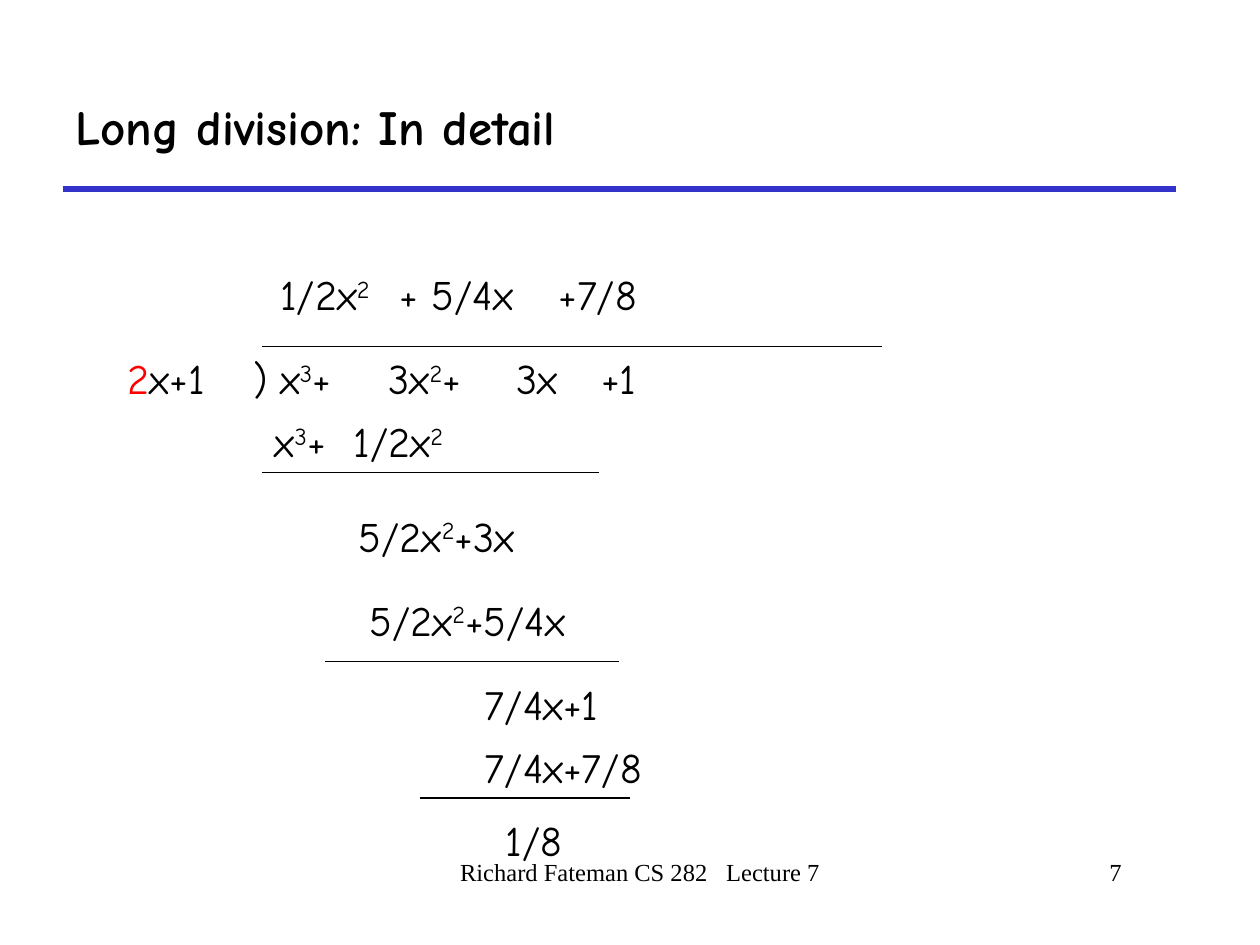
from dataclasses import dataclass

import pptx
import pptx.dml.color
import pptx.enum.shapes
import pptx.enum.text
import pptx.oxml.ns
import pptx.util
from lxml import etree

Pt = pptx.util.Pt
RGB = pptx.dml.color.RGBColor
ALIGN = pptx.enum.text.PP_ALIGN
ANCHOR = pptx.enum.text.MSO_ANCHOR
AUTO_SIZE = pptx.enum.text.MSO_AUTO_SIZE
qn = pptx.oxml.ns.qn


@dataclass(frozen=True)
class Theme:
    ink: RGB = RGB(0x00, 0x00, 0x00)
    rule: RGB = RGB(0x33, 0x33, 0xCC)
    accent: RGB = RGB(0xFF, 0x00, 0x00)
    body_font: str = "Comic Neue"
    footer_font: str = "Times New Roman"
    title_size: float = 28
    body_size: float = 24
    footer_size: float = 14


@dataclass(frozen=True)
class Term:
    """One row of the division; ^ raises the digit after it, tabs are in points."""
    text: str
    left: float
    top: float
    width: float
    indent: float = 0
    tabs: tuple[float, ...] = ()
    lead: str = ""


@dataclass(frozen=True)
class Rule:
    left: float
    right: float
    y: float
    weight: float = 0.75
    color: RGB = Theme.ink


THEME = Theme()
ROW_HEIGHT = 36
FOOTER_TOP = 486
FOOTER_INDENT = 17.28

TERMS = (
    Term("1/2x^2", 138, 150, 168, indent=15),
    Term("+ 5/4x", 204, 150, 138, indent=17),
    Term("+7/8", 312, 150, 96),
    Term("x+1", 66, 198, 70.5, lead="2"),
    Term(")\tx^3+\t3x^2+\t3x\t+1", 138, 198, 354, tabs=(15, 77, 150, 198.5)),
    Term("x^3+\t1/2x^2", 150, 234, 150, tabs=(45,)),
    Term("5/2x^2+3x", 198, 288, 126),
    Term("5/2x^2+5/4x", 204, 336, 156),
    Term("7/4x+1", 270, 384, 150),
    Term("7/4x+7/8", 270, 420, 138),
    Term("1/8", 282, 462, 84),
)

RULES = (
    Rule(36, 672, 108, 3, THEME.rule),
    Rule(150, 504, 198),
    Rule(150, 342, 270),
    Rule(186, 354, 378),
    Rule(240, 360, 456),
)


def add_box(s, left: float, top: float, width: float, height: float = ROW_HEIGHT,
            indent: float = 0):
    """Add a wrapping text box and return its text frame."""
    tf = s.shapes.add_textbox(Pt(left), Pt(top), Pt(width), Pt(height)).text_frame
    tf.word_wrap = True
    tf.paragraphs[0]._p.get_or_add_pPr().set("marL", str(Pt(indent)))
    return tf


def add_run(p, text: str, font: str, size: float, color: RGB = THEME.ink):
    r = p.add_run()
    r.text = text
    r.font.name = font
    r.font.size = Pt(size)
    r.font.color.rgb = color
    return r


def set_tabs(p, stops: tuple[float, ...]) -> None:
    tab_list = etree.SubElement(p._p.get_or_add_pPr(), qn("a:tabLst"))
    for stop in stops:
        etree.SubElement(tab_list, qn("a:tab"), pos=str(Pt(stop)), algn="l")


def add_term(s, term: Term) -> None:
    tf = add_box(s, term.left, term.top, term.width, indent=term.indent)
    tf.auto_size = AUTO_SIZE.SHAPE_TO_FIT_TEXT
    p = tf.paragraphs[0]
    if term.tabs:
        set_tabs(p, term.tabs)
    style = (THEME.body_font, THEME.body_size)
    if term.lead:
        add_run(p, term.lead, *style, THEME.accent)
    base, *raised = term.text.split("^")
    add_run(p, base, *style)
    for part in raised:
        r = add_run(p, part[0], *style)
        r.font._element.set("baseline", "30000")
        if part[1:]:
            add_run(p, part[1:], *style)


def add_rule(s, rule: Rule) -> None:
    line = s.shapes.add_connector(
        pptx.enum.shapes.MSO_CONNECTOR.STRAIGHT,
        Pt(rule.left), Pt(rule.y), Pt(rule.right), Pt(rule.y))
    line.line.color.rgb = rule.color
    line.line.width = Pt(rule.weight)
    etree.SubElement(line._element.spPr, qn("a:effectLst"))


def add_title(s, text: str) -> None:
    tf = add_box(s, 36, 36, 636, 72)
    tf.vertical_anchor = ANCHOR.MIDDLE
    r = add_run(tf.paragraphs[0], text, THEME.body_font, THEME.title_size)
    r.font.bold = True


def add_footer(s, left: float, width: float, align: ALIGN, *parts: str) -> None:
    """Add a footer whose parts are set apart by one widened space."""
    p = add_box(s, left, FOOTER_TOP, width, indent=FOOTER_INDENT).paragraphs[0]
    p.alignment = align
    style = (THEME.footer_font, THEME.footer_size)
    for i, part in enumerate(parts):
        if i:
            gap = add_run(p, " ", *style)
            gap.font._element.set("spc", "700")
        add_run(p, part, *style)


def main() -> None:
    prs = pptx.Presentation()
    prs.slide_width, prs.slide_height = Pt(720), Pt(540)
    s = prs.slides.add_slide(prs.slide_layouts[6])
    add_title(s, "Long division: In detail")
    for rule in RULES:
        add_rule(s, rule)
    for term in TERMS:
        add_term(s, term)
    add_footer(s, 222, 270, ALIGN.CENTER, "Richard Fateman CS 282", "Lecture 7")
    add_footer(s, 498, 150, ALIGN.RIGHT, "7")
    prs.save("out.pptx")


if __name__ == "__main__":
    main()
